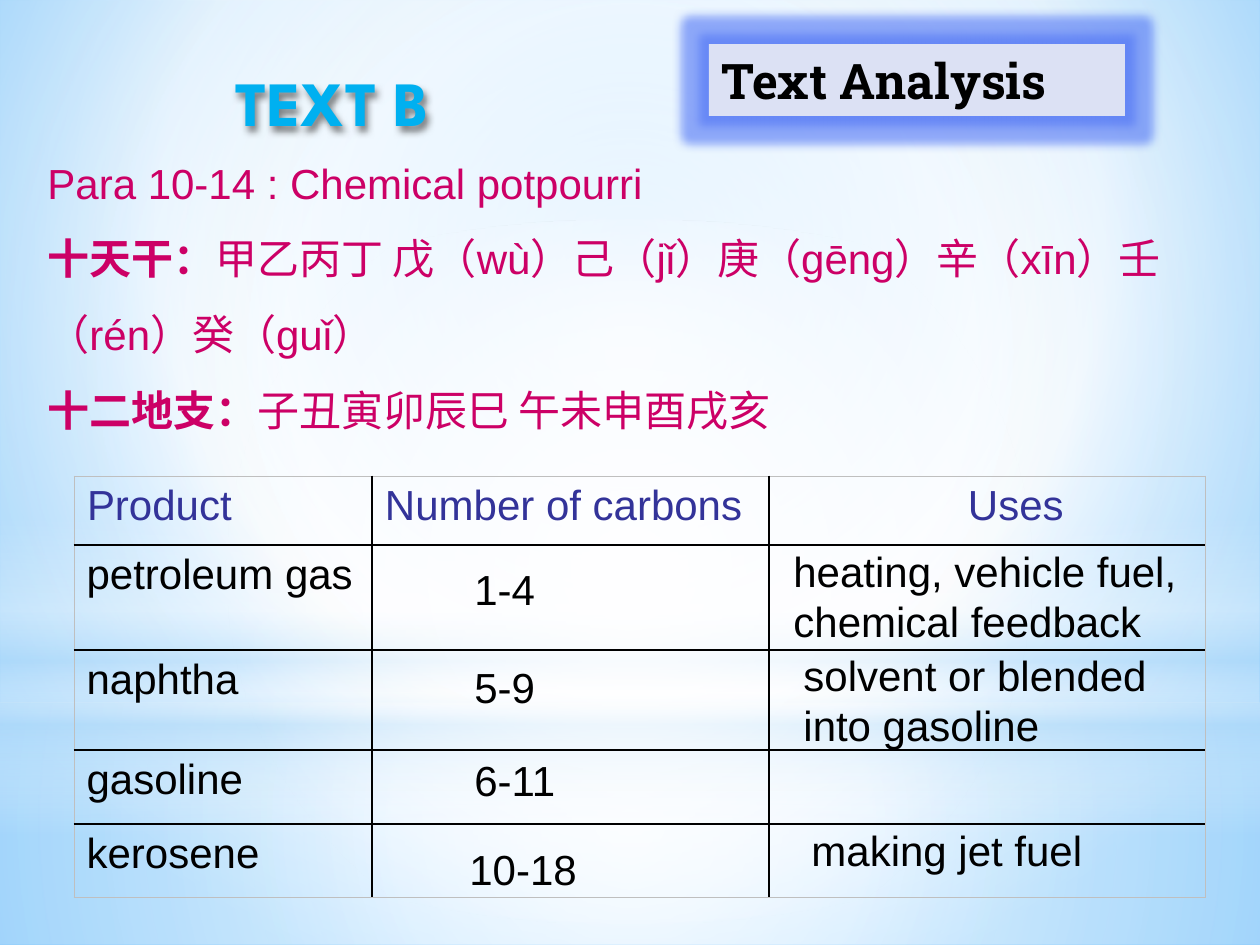
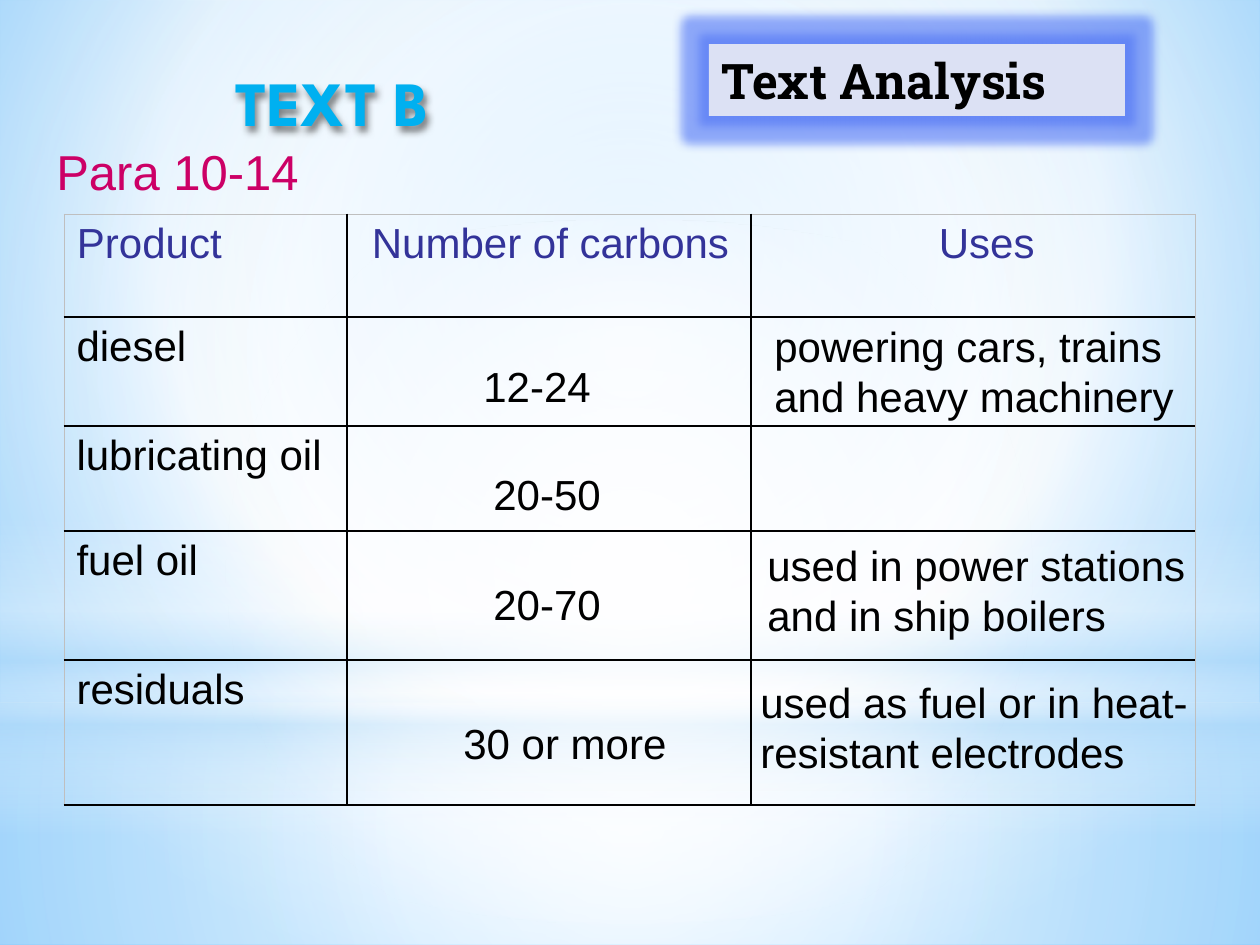
from collections import namedtuple
from itertools import accumulate

from pptx import Presentation
from pptx.dml.color import RGBColor
from pptx.enum.shapes import MSO_SHAPE
from pptx.enum.text import MSO_ANCHOR, MSO_AUTO_SIZE, PP_ALIGN
from pptx.oxml import parse_xml
from pptx.oxml.ns import nsdecls, qn
from pptx.util import Emu, Pt

PX_PER_INCH = 126
BLACK = RGBColor(0x00, 0x00, 0x00)
MAGENTA = RGBColor(0xCC, 0x00, 0x66)
HEADER_BLUE = RGBColor(0x33, 0x33, 0x99)
TITLE_BLUE = RGBColor(0x00, 0xB0, 0xF0)
TAG_FILL = RGBColor(0xDC, 0xE1, 0xF4)
TAG_GLOW = RGBColor(0x4F, 0x74, 0xF5)
SHADOW = RGBColor(0x30, 0x30, 0x30)
WHITE = RGBColor(0xFF, 0xFF, 0xFF)
BAND_BLUE = RGBColor(0xB4, 0xDC, 0xFA)
SKY = RGBColor(0x9E, 0xD5, 0xFF)
DEEP_SKY = RGBColor(0x5B, 0xB9, 0xFF)
EDGE_GREY = RGBColor(0xBF, 0xBF, 0xBF)

BODY_FONT, TITLE_FONT, TAG_FONT = "Arial", "League Spartan", "Roboto Slab"
BODY_SIZE = 24
COUNT_WIDTH, USES_WIDTH = 240, 457
LINE_HEIGHT, BOX_PADDING, CELL_INSET = 51, 13, 13

SKY_STOPS = [(0, SKY, 100), (60, WHITE, 100), (100, DEEP_SKY, 100)]
CENTRE = (50, 50, 50, 50)
# preset, box, gradient stops (position, colour, opacity), focus or None for vertical
BANDS = [
    (MSO_SHAPE.RECTANGLE, (0, 703, 1260, 242),
     [(0, WHITE, 91), (37, WHITE, 76), (100, BAND_BLUE, 79)], CENTRE),
    (MSO_SHAPE.RECTANGLE, (0, 0, 1260, 703),
     [(0, WHITE, 89), (48, WHITE, 62), (100, BAND_BLUE, 79)], CENTRE),
    (MSO_SHAPE.RECTANGLE, (0, 519, 1260, 315),
     [(0, WHITE, 0), (29, WHITE, 30), (45, BAND_BLUE, 40),
      (55, WHITE, 26), (65, BAND_BLUE, 60), (100, WHITE, 0)], None),
    (MSO_SHAPE.OVAL, (0, 220, 1260, 703),
     [(0, WHITE, 100), (56, WHITE, 0)], CENTRE),
]

# Offsets of count and uses are measured from the corner of their own cell.
Product = namedtuple("Product", "name height count count_at uses uses_at")

LIGHT_PRODUCTS = [
    Product("petroleum gas", 105, "1-4", (90, 12),
            ["heating, vehicle fuel,", "chemical feedback"], (12, -6)),
    Product("naphtha", 100, "5-9", (90, 5),
            ["solvent or blended", "into gasoline"], (22, -7)),
    Product("gasoline", 74, "6-11", (90, -2), [], None),
    Product("kerosene", 74, "10-18", (85, 13), ["making jet fuel"], (30, -6)),
]
HEAVY_PRODUCTS = [
    Product("diesel", 109, "12-24", (124, 37),
            ["powering cars, trains", "and heavy machinery"], (11, -3)),
    Product("lubricating oil", 105, "20-50", (134, 36), [], None),
    Product("fuel oil", 129, "20-70", (134, 41),
            ["used in power stations", "and in ship boilers"], (4, 2)),
    Product("residuals", 145, "30 or more", (104, 51),
            ["used as fuel or in heat-", "resistant electrodes"], (-3, 10)),
]
STEMS_AND_BRANCHES = [
    [("Para 10-14 : Chemical potpourri", False)],
    [("十天干：", True),
     ("甲乙丙丁 戊（wù）己（jǐ）庚（gēng）辛（xīn）壬（rén）癸（guǐ）", False)],
    [("十二地支：", True), ("子丑寅卯辰巳 午未申酉戌亥", False)],
]


def px(length):
    return Emu(round(length * 914400 / PX_PER_INCH))


def emu_box(box):
    return [px(length) for length in box]


def set_gradient(fill, properties, stops, focus):
    """Swap the fill in properties for a gradient, circular if it has a focus."""
    fill.background()
    stop_xml = "".join(
        f'<a:gs pos="{pos * 1000}"><a:srgbClr val="{colour}">'
        f'<a:alpha val="{opacity * 1000}"/></a:srgbClr></a:gs>'
        for pos, colour, opacity in stops)
    if focus:
        sides = " ".join(f'{s}="{v * 1000}"' for s, v in zip("ltrb", focus))
        direction = f'<a:path path="circle"><a:fillToRect {sides}/></a:path>'
    else:
        direction = '<a:lin ang="5400000" scaled="0"/>'
    gradient = parse_xml(f'<a:gradFill {nsdecls("a")} rotWithShape="1">'
                         f'<a:gsLst>{stop_xml}</a:gsLst>{direction}</a:gradFill>')
    properties.replace(properties.find(qn("a:noFill")), gradient)


def set_effect(shape, kind, attributes, colour, opacity):
    shape.shadow.inherit = False
    effects = shape.element.spPr.find(qn("a:effectLst"))
    effects.append(parse_xml(
        f'<a:{kind} {nsdecls("a")} {attributes}><a:srgbClr val="{colour}">'
        f'<a:alpha val="{opacity * 1000}"/></a:srgbClr></a:{kind}>'))


def add_run(paragraph, text, colour=BLACK, size=BODY_SIZE, font=BODY_FONT, bold=False):
    run = paragraph.add_run()
    run.text = text
    run.font.name, run.font.size, run.font.bold = font, Pt(size), bold
    run.font.color.rgb = colour


def add_lines(slide, box, lines, line_spacing=None, **style):
    """Add a text box; each line is a list of (text, bold) runs."""
    frame = slide.shapes.add_textbox(*emu_box(box)).text_frame
    frame.word_wrap = True
    for number, runs in enumerate(lines):
        paragraph = frame.add_paragraph() if number else frame.paragraphs[0]
        if line_spacing:
            paragraph.line_spacing = line_spacing
        for text, bold in runs:
            add_run(paragraph, text, bold=bold, **style)


def paint_backdrop(prs, layout, first_slide):
    """Put the sky on the master and the light bands behind the layout."""
    master = prs.slide_master
    set_gradient(master.background.fill, master.element.cSld.bg.bgPr,
                 SKY_STOPS, (20, 10, 20, 60))
    for depth, (preset, box, stops, focus) in enumerate(BANDS):
        band = first_slide.shapes.add_shape(preset, *emu_box(box))
        band.shadow.inherit = False
        band.line.fill.background()
        set_gradient(band.fill, band.element.spPr, stops, focus)
        band.element.nvSpPr.cNvPr.set("id", str(50 + depth))
        layout.element.cSld.spTree.insert(2 + depth, band.element)


def add_heading(slide):
    title = slide.shapes.title
    title.left, title.top, title.width, title.height = emu_box((174, 19, 799, 112))
    set_effect(title, "outerShdw", 'blurRad="50800" dist="38100" dir="3600000"',
               SHADOW, 60)
    frame = title.text_frame
    frame.auto_size = MSO_AUTO_SIZE.NONE
    frame.vertical_anchor = MSO_ANCHOR.TOP
    frame.margin_left = px(61)
    paragraph = frame.paragraphs[0]
    paragraph.alignment = PP_ALIGN.LEFT
    paragraph.line_spacing = 1.5
    add_run(paragraph, "TEXT B", TITLE_BLUE, 36, TITLE_FONT, True)


def add_section_tag(slide):
    tag = slide.shapes.add_shape(MSO_SHAPE.RECTANGLE, *emu_box((709, 44, 416, 72)))
    tag.fill.solid()
    tag.fill.fore_color.rgb = TAG_FILL
    tag.line.fill.background()
    set_effect(tag, "glow", 'rad="139700"', TAG_GLOW, 60)
    paragraph = tag.text_frame.paragraphs[0]
    paragraph.alignment = PP_ALIGN.LEFT
    add_run(paragraph, "Text Analysis", BLACK, 28, TAG_FONT, True)


def set_borders(cell, **sides):
    """Draw each side (L, R, T, B) in its colour, or clear it when None."""
    cell.fill.background()
    properties = cell._tc.get_or_add_tcPr()
    for position, side in enumerate("LRTB"):
        colour = sides.get(side)
        width = 6350 if colour == EDGE_GREY else 12700
        paint = (f'<a:solidFill><a:srgbClr val="{colour}"/></a:solidFill>'
                 if colour else "<a:noFill/>")
        properties.insert(position, parse_xml(
            f'<a:ln{side} {nsdecls("a")} w="{width}">{paint}</a:ln{side}>'))


def add_product_table(slide, left, top, widths, header_height, header_insets,
                      products, footer_height=0):
    heights = [header_height] + [product.height for product in products]
    all_heights = heights + ([footer_height] if footer_height else [])
    box = (left, top, sum(widths), sum(all_heights))
    table = slide.shapes.add_table(len(all_heights), len(widths), *emu_box(box)).table
    table.first_row = table.horz_banding = False
    for column, width in zip(table.columns, widths):
        column.width = px(width)
    for row, height in zip(table.rows, all_heights):
        row.height = px(height)

    for r in range(len(all_heights)):
        for c in range(len(widths)):
            if r == len(heights):
                set_borders(table.cell(r, c), T=BLACK)
                continue
            set_borders(table.cell(r, c),
                        L=BLACK if c else EDGE_GREY,
                        R=BLACK if c < len(widths) - 1 else EDGE_GREY,
                        T=BLACK if r else EDGE_GREY,
                        B=BLACK if r < len(all_heights) - 1 else EDGE_GREY)
    if footer_height:
        table.cell(len(heights), 0).merge(table.cell(len(heights), len(widths) - 1))

    for c, heading in enumerate(["Product", "Number of carbons", "Uses"]):
        cell = table.cell(0, c)
        cell.margin_left = px(header_insets[c])
        cell.margin_right = 0
        add_run(cell.text_frame.paragraphs[0], heading, HEADER_BLUE)

    count_left, uses_left = list(accumulate(widths, initial=left))[1:3]
    row_tops = list(accumulate(heights, initial=top))[1:]
    for r, (product, row_top) in enumerate(zip(products, row_tops), 1):
        add_run(table.cell(r, 0).text_frame.paragraphs[0], product.name)
        for lines, offset, cell_left, width in [
                ([product.count], product.count_at, count_left, COUNT_WIDTH),
                (product.uses, product.uses_at, uses_left, USES_WIDTH)]:
            if lines:
                dx, dy = offset
                add_lines(slide, (cell_left + dx, row_top + dy, width,
                                  LINE_HEIGHT * len(lines) + BOX_PADDING),
                          [[(line, False)] for line in lines])


def main():
    prs = Presentation()
    prs.slide_width, prs.slide_height = px(1260), px(945)
    layout = prs.slide_layouts.get_by_name("Title Only")
    light, heavy = [prs.slides.add_slide(layout) for _ in range(2)]
    paint_backdrop(prs, layout, light)

    add_lines(light, (35, 126, 1191, 330), STEMS_AND_BRANCHES, 1.5, colour=MAGENTA)
    add_product_table(light, 74, 476, (298, 397, 436), 69,
                      (CELL_INSET, CELL_INSET, 199), LIGHT_PRODUCTS)

    add_lines(heavy, (44, 106, 1191, 100), [[("Para 10-14", False)]], 1.5,
              colour=MAGENTA, size=28)
    add_product_table(heavy, 64, 214, (283, 404, 444), 103,
                      (CELL_INSET, 25, 188), HEAVY_PRODUCTS, footer_height=74)

    for slide in (light, heavy):
        add_heading(slide)
        add_section_tag(slide)
    prs.save("out.pptx")


if __name__ == "__main__":
    main()
